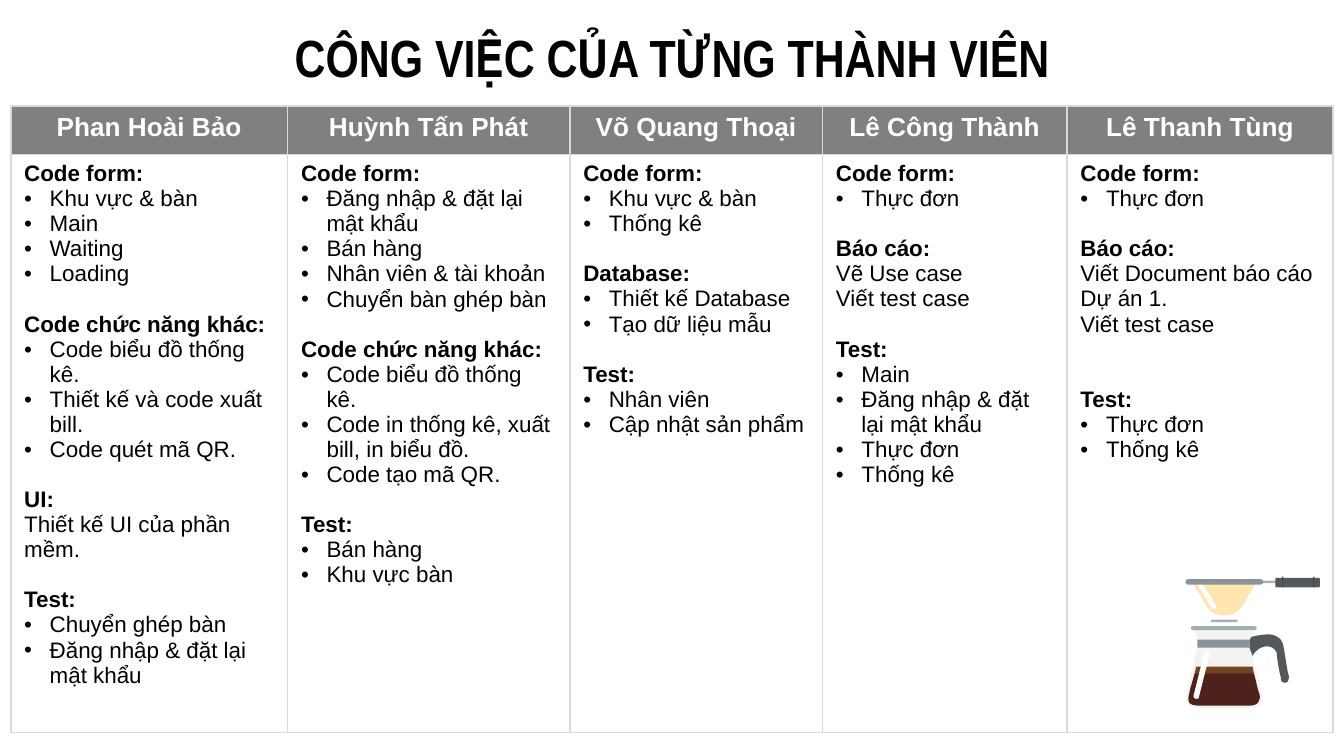
from lxml import etree
from pptx import Presentation
from pptx.dml.color import RGBColor
from pptx.enum.shapes import MSO_SHAPE
from pptx.enum.text import MSO_ANCHOR, PP_ALIGN
from pptx.oxml.ns import qn
from pptx.util import Inches, Pt

RECT, ROUND = MSO_SHAPE.RECTANGLE, MSO_SHAPE.ROUNDED_RECTANGLE
CENTER, LEFT = PP_ALIGN.CENTER, PP_ALIGN.LEFT
TOP, MIDDLE = MSO_ANCHOR.TOP, MSO_ANCHOR.MIDDLE
WIDE = 10
HIGH = WIDE * 9 / 16
LINE = 13.4  # height of one 12 pt line, in points
INDENT = 0.19
WIDTHS = [2.06, 2.1, 1.88, 1.82, 1.98]
HEIGHTS = [0.36, 4.3]


def part(head, *items, mark=True, gap=1):
    """One block of tasks; gap is the number of lines left above it."""
    return head, items, mark, gap


TASKS = {
    "Phan Hoài Bảo": [
        part("Code form:", "Khu vực & bàn", "Main", "Waiting", "Loading"),
        part("Code chức năng khác:", "Code biểu đồ thống kê.",
             "Thiết kế và code xuất bill.", "Code quét mã QR."),
        part("UI:", "Thiết kế UI của phần mềm.", mark=False),
        part("Test:", "Chuyển ghép bàn", "Đăng nhập & đặt lại mật khẩu"),
    ],
    "Huỳnh Tấn Phát": [
        part("Code form:", "Đăng nhập & đặt lại mật khẩu", "Bán hàng",
             "Nhân viên & tài khoản", "Chuyển bàn ghép bàn"),
        part("Code chức năng khác:", "Code biểu đồ thống kê.",
             "Code in thống kê, xuất bill, in biểu đồ.", "Code tạo mã QR."),
        part("Test:", "Bán hàng", "Khu vực bàn"),
    ],
    "Võ Quang Thoại": [
        part("Code form:", "Khu vực & bàn", "Thống kê"),
        part("Database:", "Thiết kế Database", "Tạo dữ liệu mẫu"),
        part("Test:", "Nhân viên", "Cập nhật sản phẩm"),
    ],
    "Lê Công Thành": [
        part("Code form:", "Thực đơn"),
        part("Báo cáo:", "Vẽ Use case", "Viết test case", mark=False),
        part("Test:", "Main", "Đăng nhập & đặt lại mật khẩu", "Thực đơn", "Thống kê"),
    ],
    "Lê Thanh Tùng": [
        part("Code form:", "Thực đơn"),
        part("Báo cáo:", "Viết Document báo cáo Dự án 1.", "Viết test case", mark=False),
        part("Test:", "Thực đơn", "Thống kê", gap=2),
    ],
}

# Outlines: a pair is a corner, six numbers are a Bézier curve
GLASS = [(8.88, 4.67), (8.92, 4.78), (8.92, 4.78, 8.84, 5.1, 8.83, 5.15),
         (8.81, 5.21, 8.83, 5.27, 8.91, 5.27), (9.31, 5.27),
         (9.39, 5.27, 9.41, 5.21, 9.39, 5.15), (9.37, 5.1, 9.29, 4.78, 9.29, 4.78),
         (9.33, 4.67)]
HANDLE = [(9.45, 4.72), (9.41, 4.72, 9.34, 4.73, 9.31, 4.74), (9.29, 4.78),
          (9.29, 4.8, 9.3, 4.83, 9.32, 4.88), (9.35, 4.83, 9.39, 4.81, 9.43, 4.81),
          (9.46, 4.81, 9.49, 4.83, 9.5, 4.86), (9.5, 4.89, 9.52, 5.01, 9.53, 5.04),
          (9.53, 5.07, 9.54, 5.08, 9.56, 5.08), (9.59, 5.08, 9.59, 5.05, 9.59, 5.03),
          (9.58, 5.01, 9.56, 4.86, 9.55, 4.81), (9.54, 4.75, 9.5, 4.73, 9.45, 4.72)]
COFFEE = [(8.89, 5.01), (8.87, 5.08, 8.85, 5.14, 8.85, 5.16),
          (8.84, 5.19, 8.84, 5.21, 8.85, 5.23), (8.86, 5.24, 8.88, 5.25, 8.91, 5.25),
          (9.31, 5.25), (9.33, 5.25, 9.35, 5.24, 9.36, 5.23),
          (9.37, 5.21, 9.38, 5.19, 9.37, 5.16), (9.36, 5.14, 9.35, 5.08, 9.33, 5.01)]
FOAM = [(8.9, 4.96), (8.89, 5.01), (9.33, 5.01), (9.32, 4.96)]
SHINE = [(8.98, 4.84), (8.97, 4.84, 8.97, 4.85, 8.96, 4.86), (8.88, 5.18),
         (8.88, 5.19, 8.89, 5.2, 8.9, 5.2), (8.91, 5.2, 8.92, 5.2, 8.92, 5.19),
         (9, 4.87), (9, 4.85, 9, 4.84, 8.98, 4.84)]
CONE = [(8.84, 4.32), (9.02, 4.62), (8.99, 4.67), (9.23, 4.67), (9.19, 4.62), (9.37, 4.32)]
FILTER = [(8.87, 4.33), (8.87, 4.33, 8.95, 4.46, 8.97, 4.5),
          (9.01, 4.56, 9.05, 4.58, 9.11, 4.58), (9.17, 4.58, 9.21, 4.56, 9.25, 4.5),
          (9.27, 4.46, 9.35, 4.33, 9.35, 4.33)]
GLEAM = [(8.92, 4.32), (8.91, 4.33, 8.91, 4.34, 8.91, 4.35), (9.02, 4.53),
         (9.02, 4.53, 9.03, 4.53, 9.03, 4.53), (9.05, 4.53, 9.05, 4.52, 9.05, 4.51),
         (8.94, 4.33), (8.94, 4.32, 8.93, 4.32, 8.92, 4.32)]


def color(code):
    return RGBColor.from_string(code)


def style(para, size, code, bold, align, font="Arial"):
    para.alignment = align
    para.font.name, para.font.size, para.font.bold = font, Pt(size), bold
    para.font.color.rgb = color(code)


def bullet(para):
    props = para._p.get_or_add_pPr()
    props.set("marL", str(Inches(INDENT)))
    props.set("indent", str(-Inches(INDENT)))
    tint = etree.SubElement(props, qn("a:buClr"))
    etree.SubElement(tint, qn("a:srgbClr"), val="000000")
    etree.SubElement(props, qn("a:buFont"), typeface="Arial")
    etree.SubElement(props, qn("a:buChar"), char="•")
    # Bullet tags must come before the default run properties
    props.append(props.find(qn("a:defRPr")))


def border(cell, code):
    props = cell._tc.get_or_add_tcPr()
    for spot, side in enumerate(("lnL", "lnR", "lnT", "lnB")):
        line = etree.Element(qn("a:" + side), w=str(Pt(1)))
        fill = etree.SubElement(line, qn("a:solidFill"))
        etree.SubElement(fill, qn("a:srgbClr"), val=code)
        props.insert(spot, line)


def paint(cell, code):
    cell.fill.solid()
    cell.fill.fore_color.rgb = color(code)
    cell.vertical_anchor = TOP
    border(cell, "D9D9D9")


def fill_tasks(cell, parts):
    frame = cell.text_frame
    for index, (head, items, mark, gap) in enumerate(parts):
        para = frame.add_paragraph() if index else frame.paragraphs[0]
        para.text = head
        style(para, 12, "000000", True, LEFT)
        if index:
            para.space_before = Pt(LINE * gap)
        for item in items:
            para = frame.add_paragraph()
            para.text = item
            style(para, 12, "000000", False, LEFT)
            if mark:
                bullet(para)


def add_tasks(slide):
    grid = slide.shapes.add_table(2, len(TASKS), Inches(0.08), Inches(0.79),
                                  Inches(sum(WIDTHS)), Inches(sum(HEIGHTS))).table
    grid.horz_banding = False
    for row, high in zip(grid.rows, HEIGHTS):
        row.height = Inches(high)
    for col, (name, parts) in enumerate(TASKS.items()):
        grid.columns[col].width = Inches(WIDTHS[col])
        top, body = grid.cell(0, col), grid.cell(1, col)
        paint(top, "808080")
        paint(body, "FFFFFF")
        top.text = name
        style(top.text_frame.paragraphs[0], 14, "FFFFFF", True, CENTER)
        fill_tasks(body, parts)


def finish(shape, code):
    shape.shadow.inherit = False
    shape.fill.solid()
    shape.fill.fore_color.rgb = color(code)
    shape.line.fill.background()


def add_bar(group, kind, x, y, w, h, code):
    bar = group.shapes.add_shape(kind, Inches(x), Inches(y), Inches(w), Inches(h))
    finish(bar, code)
    return bar


def bend(start, curve, steps=8):
    """Points along a cubic Bézier curve."""
    knots = [start, curve[:2], curve[2:4], curve[4:]]
    for step in range(1, steps + 1):
        t = step / steps
        rates = ((1 - t) ** 3, 3 * t * (1 - t) ** 2, 3 * t * t * (1 - t), t ** 3)
        yield tuple(sum(r * k[axis] for r, k in zip(rates, knots)) for axis in (0, 1))


def add_form(group, outline, code):
    dots = [outline[0]]
    for step in outline[1:]:
        dots.extend([step] if len(step) == 2 else bend(dots[-1], step))
    dots = [(Inches(x), Inches(y)) for x, y in dots]
    pen = group.shapes.build_freeform(*dots[0])
    pen.add_line_segments(dots[1:], close=True)
    finish(pen.convert_to_shape(), code)


def add_pot(slide):
    group = slide.shapes.add_group_shape()
    # Jug
    for outline, code in ((GLASS, "F3F3F3"), (HANDLE, "52585C"), (COFFEE, "4C221B"),
                          (FOAM, "76441C"), (SHINE, "FFFFFF")):
        add_form(group, outline, code)
    # Dripper and its grip
    add_bar(group, RECT, 9.37, 4.32, 0.16, 0.02, "A2B0B5")
    add_form(group, CONE, "FFFFFF")
    for x, y, w, h in ((8.86, 4.66, 0.49, 0.03), (9.01, 4.61, 0.2, 0.02)):
        add_bar(group, ROUND, x, y, w, h, "A2B0B5").adjustments[0] = 0.5
    add_bar(group, RECT, 8.91, 4.76, 0.39, 0.06, "899599")
    add_bar(group, ROUND, 9.49, 4.3, 0.33, 0.07, "52585C").adjustments[0] = 0.1
    for x in (9.54, 9.77):
        add_bar(group, RECT, x, 4.29, 0.01, 0.08, "464C4F")
    # Paper filter and rim
    add_form(group, FILTER, "FFE5AF")
    add_form(group, GLEAM, "FFFFFF")
    add_bar(group, ROUND, 8.82, 4.31, 0.58, 0.04, "899599").adjustments[0] = 0.5


def add_title(slide):
    title = slide.shapes.title
    title.left, title.top = Inches(0.34), Inches(0.07)
    title.width, title.height = Inches(9.32), Inches(0.71)
    frame = title.text_frame
    frame.text = "CÔNG VIỆC CỦA TỪNG THÀNH VIÊN"
    frame.vertical_anchor = MIDDLE
    frame.margin_left = frame.margin_right = Inches(0.1)
    frame.margin_top = frame.margin_bottom = Inches(0.1)
    style(frame.paragraphs[0], 28, "000000", True, CENTER, "Arial Narrow")


def main():
    deck = Presentation()
    deck.slide_width, deck.slide_height = Inches(WIDE), Inches(HIGH)
    slide = deck.slides.add_slide(deck.slide_layouts[5])
    add_title(slide)
    add_tasks(slide)
    add_pot(slide)
    deck.save("out.pptx")


if __name__ == "__main__":
    main()
